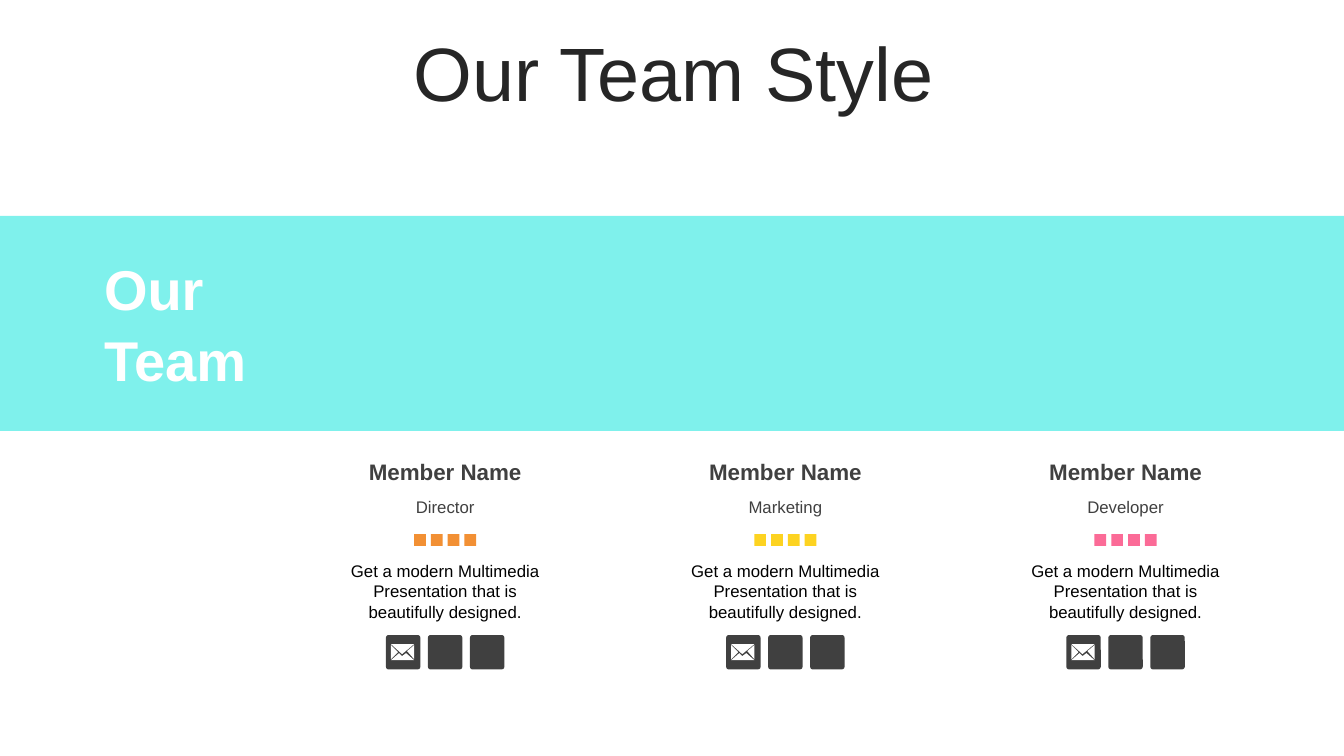
from dataclasses import dataclass

from lxml import etree
from pptx import Presentation
from pptx import util as u
from pptx.dml.color import RGBColor
from pptx.enum import shapes, text
from pptx.oxml.ns import qn

COLS, ROWS = 80, 45  # square grid cells, six to the inch


@dataclass(frozen=True)
class Theme:
    font: str = "Arial"
    white: str = "FFFFFF"
    black: str = "000000"
    title: str = "262626"
    gray: str = "404040"
    band: str = "49ECE5"
    band_alpha: int = 70
    title_size: int = 54
    band_size: int = 40
    name_size: int = 16
    body_size: int = 12


T = Theme()
BLURB = "Get a modern Multimedia Presentation that is beautifully designed."
MEMBERS = [
    ("Member Name", "Director", "F29034"),
    ("Member Name", "Marketing", "FDD321"),
    ("Member Name", "Developer", "FB6B97"),
]
# Envelope flaps in hundredths of an inch from the tile's corner
ENVELOPE = [
    [(20, 18), (16, 21), (13, 18), (5, 25), (28, 25)],
    [(28, 10), (21, 16.5), (28, 24)],
    [(5, 10), (5, 24), (12, 17)],
    [(5, 9), (16.5, 19), (28, 9)],
]


def g(cells):
    return u.Inches(cells / 6)


def paint(sp, color):
    sp.shadow.inherit = False
    sp.fill.solid()
    sp.fill.fore_color.rgb = RGBColor.from_string(color)
    sp.line.fill.background()
    return sp


def add_box(s, kind, x, y, w, h, color):
    return paint(s.shapes.add_shape(kind, g(x), g(y), g(w), g(h)), color)


def write(sp, words, size, color, bold=False, align=text.PP_ALIGN.CENTER,
          anchor=text.MSO_ANCHOR.MIDDLE):
    tf = sp.text_frame
    tf.text = words
    tf.word_wrap = True
    tf.auto_size = text.MSO_AUTO_SIZE.NONE
    tf.vertical_anchor = anchor
    for p in tf.paragraphs:
        p.alignment = align
        for r in p.runs:
            r.font.name, r.font.size, r.font.bold = T.font, u.Pt(size), bold
            r.font.color.rgb = RGBColor.from_string(color)
    return tf


def add_label(s, x, y, w, h, words, size, color, **style):
    sp = s.shapes.add_textbox(g(x), g(y), g(w), g(h))
    return write(sp, words, size, color, **style)


def add_title(s, x, y, w, h):
    sp = s.shapes.title
    sp.left, sp.top, sp.width, sp.height = g(x), g(y), g(w), g(h)
    tf = write(sp, "Our Team Style", T.title_size, T.title)
    tf.paragraphs[0].line_spacing = 0.9


def add_band(s, x, y, w, h):
    sp = add_box(s, shapes.MSO_SHAPE.RECTANGLE, x, y, w, h, T.band)
    color = sp.fill._xPr.find(qn("a:solidFill"))[0]
    etree.SubElement(color, qn("a:alpha"), val=str(T.band_alpha * 1000))
    tf = add_label(s, x + 5.6, y + 0.5, 12.8, h - 1, "Our\nTeam", T.band_size,
                   T.white, bold=True, align=text.PP_ALIGN.LEFT)
    tf.paragraphs[1].space_before = u.Pt(2.5)


def add_row(s, kind, x, y, w, count, pitch, size, color):
    """Centre equal squares across the width and return the first."""
    left = x + (w - (count - 1) * pitch - size) / 2
    row = [add_box(s, kind, left + i * pitch, y, size, size, color)
           for i in range(count)]
    return row[0]


def add_envelope(s, tile):
    fb = None
    for flap in ENVELOPE:
        if fb is None:
            fb = s.shapes.build_freeform(*flap[0], scale=u.Inches(0.01))
        else:
            fb.move_to(*flap[0])
        fb.add_line_segments(flap[1:], close=True)
    paint(fb.convert_to_shape(tile.left, tile.top), T.white)


def add_member(s, x, y, w, name, role, color):
    add_label(s, x, y, w, 1.9, name, T.name_size, T.gray, bold=True)
    add_label(s, x, y + 2.1, w, 1.9, role, T.body_size, T.gray)
    add_row(s, shapes.MSO_SHAPE.RECTANGLE, x, y + 4.7, w, 4, 1, 0.7, color)
    add_label(s, x, y + 6, w, 4.3, BLURB, T.body_size, T.black,
              anchor=text.MSO_ANCHOR.TOP)
    tile = add_row(s, shapes.MSO_SHAPE.ROUNDED_RECTANGLE, x, y + 10.7, w,
                   3, 2.5, 2.05, T.gray)
    for sp in s.shapes:
        if sp.shape_type == shapes.MSO_SHAPE_TYPE.AUTO_SHAPE and len(sp.adjustments):
            sp.adjustments[0] = 0.08
    add_envelope(s, tile)


def main():
    prs = Presentation()
    prs.slide_width, prs.slide_height = g(COLS), g(ROWS)
    s = prs.slides.add_slide(prs.slide_layouts[5])
    add_band(s, 0, 12.85, COLS, 12.8)
    add_title(s, 2.1, 2.2, 76, 4.75)
    for i, member in enumerate(MEMBERS):
        add_member(s, 20.1 + 20.25 * i, 27.1, 12.8, *member)
    prs.save("out.pptx")


if __name__ == "__main__":
    main()
